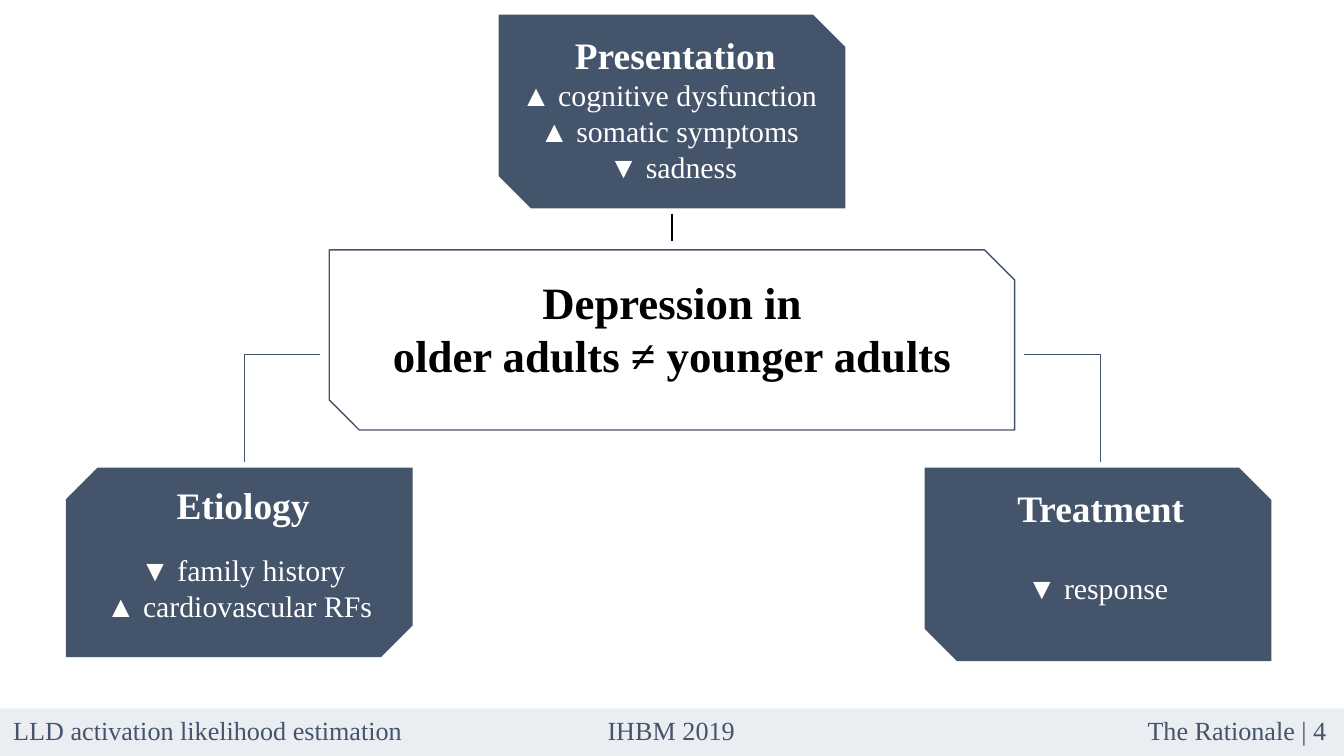
"""Build the slide on how depression differs between older and younger adults."""
from dataclasses import dataclass

from lxml.etree import SubElement
from pptx import Presentation
from pptx.dml.color import RGBColor
from pptx.enum.shapes import MSO_CONNECTOR, MSO_SHAPE
from pptx.enum.text import MSO_ANCHOR, MSO_AUTO_SIZE, PP_ALIGN
from pptx.oxml.ns import qn
from pptx.util import Inches, Pt


@dataclass(frozen=True)
class Theme:
    """Colours, type sizes and measures of the slide."""

    slate: RGBColor = RGBColor(0x44, 0x54, 0x6A)
    pale: RGBColor = RGBColor(0xEA, 0xED, 0xF2)
    white: RGBColor = RGBColor(0xFF, 0xFF, 0xFF)
    black: RGBColor = RGBColor(0, 0, 0)
    font: str = "Times New Roman"
    claim: int = 24
    heading: int = 20
    finding: int = 16
    footer: int = 14
    line: float = 0.75
    snip: float = 0.167


THEME = Theme()


def place(part, box):
    """Move a part to a box of left, top, width and height in inches."""
    part.left, part.top, part.width, part.height = map(Inches, box)


def write(holder, lines, size, color, bold=False, align=PP_ALIGN.CENTER,
          anchor=MSO_ANCHOR.MIDDLE, inset=0.1):
    """Fill a text holder with one formatted paragraph per line."""
    frame = holder.text_frame
    frame.word_wrap = True
    frame.auto_size = MSO_AUTO_SIZE.NONE
    frame.vertical_anchor = anchor
    frame.margin_left = frame.margin_right = Inches(0.1)
    frame.margin_top = frame.margin_bottom = Inches(inset)
    frame.text = "\n".join(lines)
    for paragraph in frame.paragraphs:
        properties = paragraph._p.get_or_add_pPr()
        properties.set("marL", "0")
        properties.set("indent", "0")
        SubElement(properties, qn("a:buNone"))
        paragraph.alignment = align
        paragraph.space_before = Pt(0)
        font = paragraph.font
        font.name, font.size, font.bold = THEME.font, Pt(size), bold
        font.color.rgb = color


def add_text(slide, box, lines, holder=None, **style):
    """Write in a placeholder brought to the front, or in a new text box."""
    if holder is None:
        holder = slide.shapes.add_textbox(0, 0, 0, 0)
    else:
        slide.shapes._spTree.append(holder._element)
    place(holder, box)
    write(holder, lines, **style)


def add_panel(slide, box, kind=MSO_SHAPE.SNIP_2_DIAG_RECTANGLE, snips=(),
              fill=None, line=None):
    """Add a flat panel with the given cut corners, fill and outline."""
    panel = slide.shapes.add_shape(kind, *map(Inches, box))
    panel.shadow.inherit = False
    for index, snip in enumerate(snips):
        panel.adjustments[index] = snip
    if fill is None:
        panel.fill.background()
    else:
        panel.fill.solid()
        panel.fill.fore_color.rgb = fill
    if line is None:
        panel.line.fill.background()
    else:
        panel.line.color.rgb = line
        panel.line.width = Pt(THEME.line)


def add_link(slide, start, end, color, bent=False):
    """Add a straight link, or one with a single right angle."""
    kind = MSO_CONNECTOR.ELBOW if bent else MSO_CONNECTOR.STRAIGHT
    link = slide.shapes.add_connector(kind, *map(Inches, (*start, *end)))
    link.line.color.rgb = color
    link.line.width = Pt(THEME.line)
    properties = link._element.spPr
    if bent:
        properties.find(qn("a:prstGeom")).set("prst", "bentConnector2")
    SubElement(properties, qn("a:effectLst"))


def add_card(slide, panel, heading_box, heading, findings_box, findings,
             snips=(0, THEME.snip), holders=(None, None)):
    """Add a dark card with a heading above its findings."""
    add_panel(slide, panel, snips=snips, fill=THEME.slate)
    add_text(slide, heading_box, [heading], holders[0], size=THEME.heading,
             color=THEME.white, bold=True, anchor=MSO_ANCHOR.BOTTOM)
    add_text(slide, findings_box, findings, holders[1], size=THEME.finding,
             color=THEME.white)


def add_footer(slide):
    """Add the footer band and its three labels."""
    add_panel(slide, (0, 5.27, 10, 0.38), MSO_SHAPE.RECTANGLE, fill=THEME.pale)
    labels = (
        (0, 3.78, "LLD activation likelihood estimation", PP_ALIGN.LEFT),
        (4.08, 1.83, "IHBM 2019", PP_ALIGN.CENTER),
        (8.14, 1.83, "The Rationale | 4", PP_ALIGN.RIGHT),
    )
    for left, width, label, align in labels:
        add_text(slide, (left, 5.27, width, 0.34), [label], size=THEME.footer,
                 color=THEME.slate, align=align, anchor=MSO_ANCHOR.TOP,
                 inset=0.05)


def main():
    """Build and save the slide."""
    deck = Presentation()
    deck.slide_width = Inches(10)
    deck.slide_height = deck.slide_width * 9 // 16
    slide = deck.slides.add_slide(deck.slide_layouts.get_by_name("Comparison"))
    claim, *bodies = list(slide.placeholders)[:5]

    add_panel(slide, (2.45, 1.86, 5.1, 1.34), snips=(0, THEME.snip),
              line=THEME.slate)
    add_text(slide, (2.38, 1.94, 5.24, 1),
             ["Depression in\volder adults ≠ younger adults"], claim,
             size=THEME.claim, color=THEME.black, bold=True)

    add_card(slide, (3.71, 0.11, 2.58, 1.44),
             (3.78, 0.07, 2.49, 0.6), "Presentation",
             (3.75, 0.5, 2.46, 0.94),
             ["▲ cognitive dysfunction", "▲ somatic symptoms", " ▼ sadness"])
    add_card(slide, (0.49, 3.48, 2.58, 1.41),
             (0.57, 3.44, 2.48, 0.58), "Etiology",
             (0.66, 3.91, 2.24, 0.93),
             [" ▼ family history", "▲ cardiovascular RFs"],
             snips=(THEME.snip, 0), holders=bodies[:2])
    add_card(slide, (6.88, 3.48, 2.58, 1.44),
             (6.95, 3.44, 2.48, 0.6), "Treatment",
             (7.02, 3.9, 2.24, 0.94), [" ▼ response"], holders=bodies[2:])

    add_link(slide, (2.38, 2.64), (1.82, 3.44), THEME.slate, bent=True)
    add_link(slide, (7.62, 2.64), (8.19, 3.44), THEME.slate, bent=True)
    add_link(slide, (5, 1.59), (5, 1.79), THEME.black)
    add_footer(slide)
    deck.save("out.pptx")


if __name__ == "__main__":
    main()
